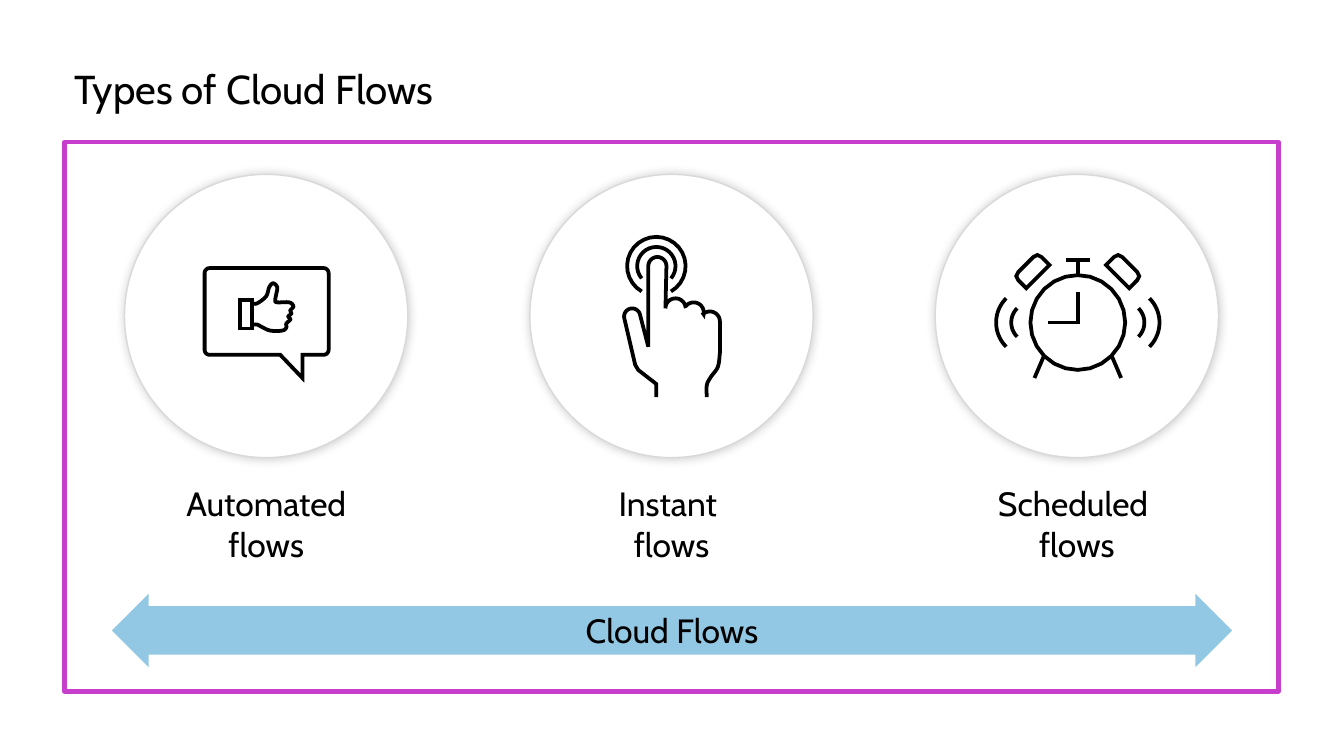
import math
from dataclasses import dataclass
from typing import Any

import lxml.etree
import pptx
import pptx.dml.color
import pptx.enum.shapes
import pptx.enum.text
import pptx.oxml.ns
import pptx.util

Inches = pptx.util.Inches
Point = tuple[float, float]
Points = list[Point]
SHAPES = pptx.enum.shapes.MSO_SHAPE
ANCHOR = pptx.enum.text.MSO_ANCHOR
ALIGN = pptx.enum.text.PP_ALIGN
AUTO_SIZE = pptx.enum.text.MSO_AUTO_SIZE

BLACK, WHITE, PURPLE, GREY, BLUE = "000000", "FFFFFF", "C73ECC", "D9D9D9", "93C8E4"
FONT = "Cabin"
ICON_WEIGHT = 2.7
CIRCLE_SIZE = 2.81
LABEL_WIDTH = 1.88
FIRST_CENTER, COLUMN_STEP = 2.64, 4.02
CLOCK_X, CLOCK_Y = 10.69, 3.2


@dataclass
class Stroke:
    points: Points
    closed: bool = False


@dataclass
class Flow:
    label: str
    strokes: list[Stroke]


def color(value: str) -> pptx.dml.color.RGBColor:
    return pptx.dml.color.RGBColor.from_string(value)


def apply(target: Any, values: dict[str, Any]) -> None:
    for name, value in values.items():
        setattr(target, name, value)


def add_effects(shape: Any) -> Any:
    return lxml.etree.SubElement(shape._element.spPr, pptx.oxml.ns.qn("a:effectLst"))


def arc(x: float, y: float, radius: float, start: int, end: int) -> Points:
    angles = [math.radians(start + (end - start) * step / 24) for step in range(25)]
    return [(x + radius * math.cos(angle), y + radius * math.sin(angle)) for angle in angles]


def smooth(knots: Points) -> Points:
    padded = [knots[0], *knots, knots[-1]]
    curve: Points = []
    for a, b, c, d in zip(padded, padded[1:], padded[2:], padded[3:]):
        for t in (0, 0.25, 0.5, 0.75):
            curve.append(tuple(
                b[i] + t * (c[i] - a[i]) / 2
                + t**2 * (2 * a[i] - 5 * b[i] + 4 * c[i] - d[i]) / 2
                + t**3 * (3 * b[i] - a[i] - 3 * c[i] + d[i]) / 2
                for i in (0, 1)))
    return [*curve, knots[-1]]


def mirror(stroke: Stroke) -> Stroke:
    return Stroke([(2 * CLOCK_X - x, y) for x, y in stroke.points], stroke.closed)


def bubble_icon() -> list[Stroke]:
    left, top, right, bottom, radius = 2.03, 2.66, 3.26, 3.52, 0.05
    frame = [
        *arc(left + radius, top + radius, radius, 180, 270),
        *arc(right - radius, top + radius, radius, 270, 360),
        *arc(right - radius, bottom - radius, radius, 0, 90),
        (3.0, bottom), (3.0, 3.75), (2.78, bottom),
        *arc(left + radius, bottom - radius, radius, 90, 180),
    ]
    cuff = [(2.38, 2.98), (2.5, 2.98), (2.5, 3.26), (2.38, 3.26)]
    fist = [
        (2.5, 3.01), (2.55, 3.01), (2.64, 2.94), (2.67, 2.85), (2.71, 2.81), (2.75, 2.85),
        (2.74, 2.92), (2.73, 2.98), (2.75, 3), (2.87, 3), (2.91, 3.04), (2.88, 3.08),
        (2.89, 3.11), (2.86, 3.14), (2.88, 3.17), (2.84, 3.21), (2.84, 3.25), (2.8, 3.28),
        (2.68, 3.28), (2.59, 3.24), (2.55, 3.22), (2.5, 3.22),
    ]
    return [Stroke(cuff, True), Stroke(smooth(fist)), Stroke(frame, True)]


def touch_icon() -> list[Stroke]:
    hand = [
        (6.51, 3.94), (6.51, 3.81), (6.33, 3.67), (6.3, 3.62),
        *arc(6.27, 3.14, 0.08, 168, 348), (6.43, 3.44),
        *arc(6.52, 2.64, 0.09, 180, 360),
        *arc(6.7, 3.06, 0.1, 180, 347),
        *arc(6.88, 3.1, 0.1, 220, 370),
        *arc(7.04, 3.19, 0.1, 230, 360),
        *smooth([(7.14, 3.5), (7.12, 3.64), (7.05, 3.74), (7.01, 3.82), (7.01, 3.94)]),
    ]
    return [
        Stroke(arc(6.51, 2.64, 0.19, 140, 400)),
        Stroke(arc(6.51, 2.64, 0.29, 120, 420)),
        Stroke(hand),
    ]


def clock_icon() -> list[Stroke]:
    bell = [(10.18, 2.86), (10.1, 2.78), (10.08, 2.74), (10.1, 2.7), (10.25, 2.55),
            (10.29, 2.53), (10.33, 2.55), (10.41, 2.63)]
    left_side = [
        Stroke(arc(10.23, CLOCK_Y, 0.2, 135, 225)),
        Stroke(arc(10.22, CLOCK_Y, 0.34, 135, 225)),
        Stroke(bell, True),
        Stroke([(10.35, 3.54), (10.26, 3.75)]),
    ]
    return [
        *left_side,
        *map(mirror, left_side),
        Stroke([(CLOCK_X, 2.9), (CLOCK_X, CLOCK_Y), (10.39, CLOCK_Y)]),
        Stroke([(10.57, 2.58), (10.81, 2.58)]),
        Stroke([(CLOCK_X, 2.58), (CLOCK_X, 2.73)]),
        Stroke(arc(CLOCK_X, CLOCK_Y, 0.47, 0, 360), True),
    ]


def draw_stroke(page: Any, stroke: Stroke) -> Any:
    points = [(Inches(x), Inches(y)) for x, y in stroke.points]
    if len(points) == 2:
        kind = pptx.enum.shapes.MSO_CONNECTOR.STRAIGHT
        shape = page.shapes.add_connector(kind, *points[0], *points[1])
        add_effects(shape)
    else:
        builder = page.shapes.build_freeform(*points[0])
        builder.add_line_segments(points[1:], close=stroke.closed)
        shape = builder.convert_to_shape()
        shape.fill.background()
        shape.shadow.inherit = False
    shape.line.color.rgb = color(BLACK)
    shape.line.width = pptx.util.Pt(ICON_WEIGHT)
    if len(points) > 2:
        outline = shape._element.spPr.find(pptx.oxml.ns.qn("a:ln"))
        lxml.etree.SubElement(outline, pptx.oxml.ns.qn("a:miter"), lim="800000")
    return shape


def add_panel(page: Any, kind: Any, area: tuple[float, ...], fill: str,
              line: str = "", weight: float = 0) -> Any:
    shape = page.shapes.add_shape(kind, *map(Inches, area))
    shape.shadow.inherit = False
    shape.fill.solid()
    shape.fill.fore_color.rgb = color(fill)
    if line:
        shape.line.color.rgb = color(line)
        shape.line.width = pptx.util.Pt(weight)
    else:
        shape.line.fill.background()
    return shape


def add_halo(shape: Any) -> None:
    effects = shape._element.spPr.find(pptx.oxml.ns.qn("a:effectLst"))
    shadow = lxml.etree.SubElement(effects, pptx.oxml.ns.qn("a:outerShdw"),
                                   blurRad=str(pptx.util.Pt(7)), dist="0", algn="ctr")
    tint = lxml.etree.SubElement(shadow, pptx.oxml.ns.qn("a:srgbClr"), val=BLACK)
    lxml.etree.SubElement(tint, pptx.oxml.ns.qn("a:alpha"), val="20000")


def write(box: Any, text: str, size: float, align: Any, margins: Point) -> None:
    side, edge = map(Inches, margins)
    apply(box.text_frame, {
        "word_wrap": True, "auto_size": AUTO_SIZE.NONE, "vertical_anchor": ANCHOR.MIDDLE,
        "margin_left": side, "margin_right": side, "margin_top": edge, "margin_bottom": edge})
    para = box.text_frame.paragraphs[0]
    para.alignment = align
    for index, line in enumerate(text.split("\n")):
        if index:
            para.add_line_break()
        span = para.add_run()
        span.text = line
        apply(span.font, {"name": FONT, "size": pptx.util.Pt(size), "bold": False})
        span.font.color.rgb = color(BLACK)


def main() -> None:
    deck = pptx.Presentation()
    apply(deck, {"slide_width": Inches(13.33), "slide_height": Inches(7.5)})
    page = deck.slides.add_slide(deck.slide_layouts[5])
    title = page.shapes.title
    apply(title, {"left": Inches(0.64), "top": Inches(0.64),
                  "width": Inches(12.04), "height": Inches(0.54)})
    write(title, "Types of Cloud Flows", 28.8, ALIGN.LEFT, (0.1, 0.05))
    title.text_frame.paragraphs[0].line_spacing = 0.9
    add_panel(page, SHAPES.RECTANGLE, (0.64, 1.41, 12.04, 5.45), WHITE, PURPLE, 3)
    flows = [Flow("Automated flows", bubble_icon()), Flow("Instant \nflows", touch_icon()),
             Flow("Scheduled \nflows", clock_icon())]
    for index, flow in enumerate(flows):
        center = FIRST_CENTER + index * COLUMN_STEP
        area = (center - CIRCLE_SIZE / 2, 1.73, CIRCLE_SIZE, CIRCLE_SIZE)
        add_halo(add_panel(page, SHAPES.OVAL, area, WHITE, GREY, 1))
        page.shapes.add_group_shape([draw_stroke(page, stroke) for stroke in flow.strokes])
        label_area = (center - LABEL_WIDTH / 2, 4.79, LABEL_WIDTH, 0.81)
        label = page.shapes.add_textbox(*map(Inches, label_area))
        write(label, flow.label, 24, ALIGN.CENTER, (0, 0))
    arrow = add_panel(page, SHAPES.LEFT_RIGHT_ARROW, (1.11, 5.89, 11.11, 0.73), BLUE)
    arrow.adjustments[0], arrow.adjustments[1] = 0.66, 0.5
    write(arrow, "Cloud Flows", 24, ALIGN.CENTER, (0.2, 0.16))
    deck.save("out.pptx")


if __name__ == "__main__":
    main()
